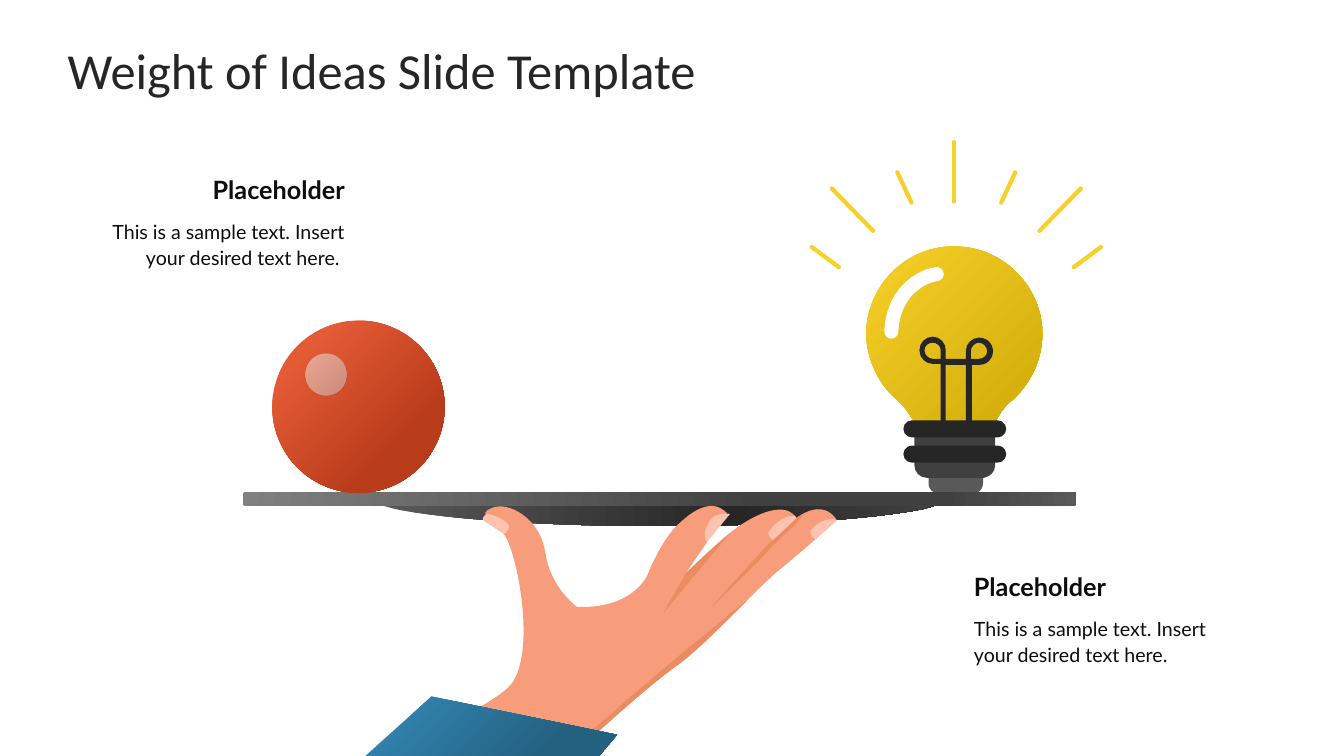
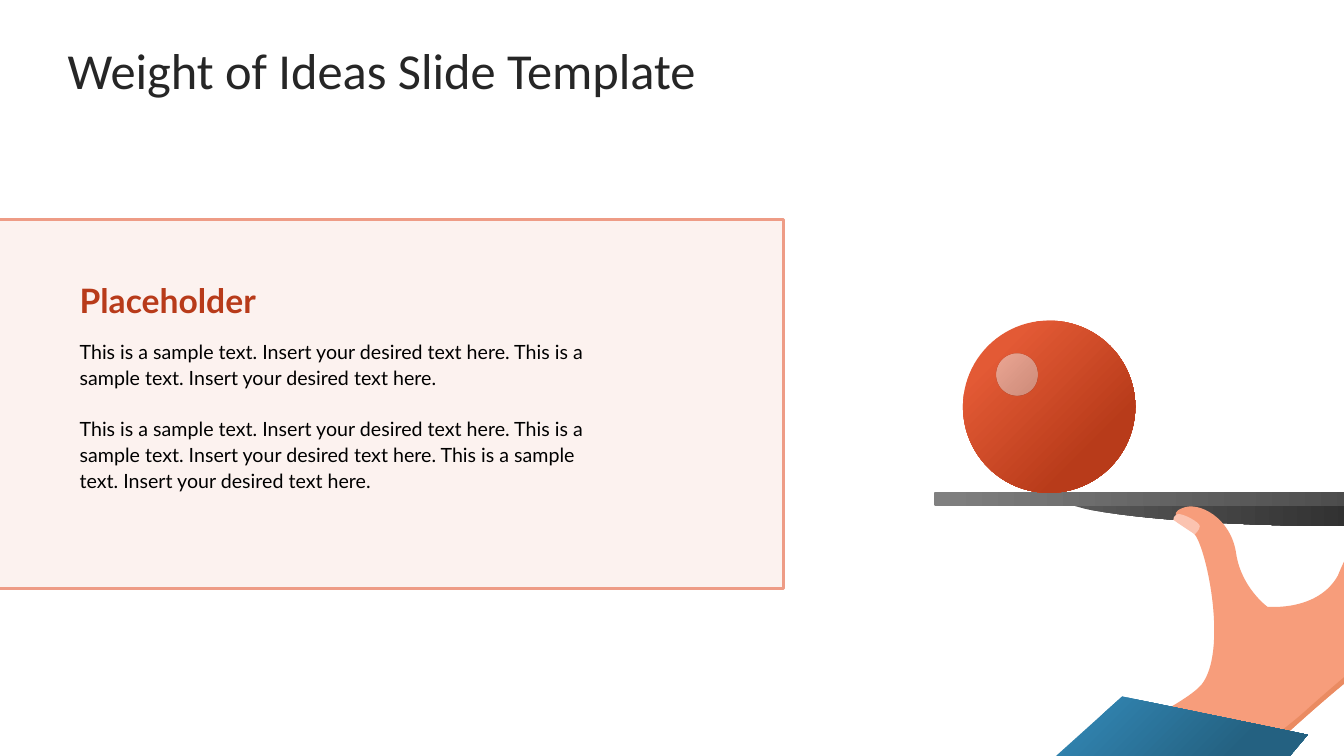
from lxml.etree import SubElement
from pptx import Presentation
from pptx.dml.color import RGBColor
from pptx.enum.shapes import MSO_CONNECTOR as Connector, MSO_SHAPE as Preset
from pptx.enum.text import MSO_ANCHOR as Anchor, MSO_AUTO_SIZE as AutoSize, PP_ALIGN as Align
from pptx.oxml.ns import qn
from pptx.util import Pt

PX = 9144
COLORS = {
    "ink": "262626", "caption": "0D0D0D", "body": "000000",
    "charcoal": "404040", "slate": "595959", "grey": "808080",
    "yellow": "F7D029", "gold": "D0AA08", "white": "FFFFFF",
    "coral": "E35A35", "rust": "B83B1A", "glint": "EDEDED", "glint_dark": "C9C9C9",
    "skin": "F79D7B", "nail": "FBC3B0", "skin_shade": "EA8B62",
    "sleeve": "3081AC", "sleeve_dark": "246181",
    "panel": "F9DED7", "panel_edge": "EE9C86",
}
TITLE = "Weight of Ideas Slide Template"
SAMPLE = "This is a sample text. Insert your desired text here."

TRAY_BELLY = ("M 140 14 L 686 14 L 675 17 C 625 27 526 34 413 34 "
              "C 300 34 202 27 151 17 Z")
GLASS = ("M 85 256 C 92 262 97 270 102 278 L 182 278 C 186 270 192 261 199 256 "
         "C 220 237 232 209 228 178 C 222 139 190 108 151 104 "
         "C 99 98 54 139 54 191 C 55 216 66 240 85 256 Z")
FILAMENT = ("M 166 194 C 159 194 153 200 153 207 L 153 215 L 133 215 L 133 206 "
            "C 133 199 127 193 120 193 C 113 193 107 199 107 206 L 107 207 "
            "C 107 214 113 220 120 220 L 128 220 L 128 279 L 133 279 L 133 221 "
            "L 153 221 L 153 279 L 159 279 L 159 221 L 166 221 "
            "C 174 221 180 215 180 208 L 180 207 C 180 200 174 194 166 194 Z "
            "M 128 215 L 120 215 C 116 215 112 211 112 207 L 112 206 "
            "C 112 202 116 199 120 199 C 124 199 128 202 128 206 Z "
            "M 174 208 C 174 212 170 215 166 215 L 158 215 L 158 207 "
            "C 158 203 162 199 166 199 C 170 199 174 203 174 207 Z")
SOCKET = ("M 182 292 L 102 292 L 102 321 C 102 327 107 333 114 333 "
          "L 171 333 C 177 332 182 327 182 321 Z")
REFLECTION = "M 79 188 C 81 145 113 132 124 131"
BULB_WIDTH = 287
CENTRE_RAY = (141, 0, 141, 59)
LEFT_RAYS = [(20, 46, 61, 88), (27, 124, 0, 104), (99, 60, 85, 30)]

PALM = ("M 348 0 C 353 0 358 2 363 7 L 322 67 C 322 67 356 33 375 20 "
        "C 394 7 421 -5 432 12 C 432 12 457 -9 472 14 C 472 14 445 39 413 65 "
        "C 382 92 344 136 314 158 C 284 179 232 227 211 246 L 210 248 L 21 248 "
        "L 23 247 C 84 219 142 190 151 174 C 174 137 153 39 141 27 "
        "C 129 15 114 8 130 2 C 146 -5 178 12 183 47 C 188 81 214 100 214 100 "
        "C 214 100 264 105 284 69 C 284 69 298 32 317 16 C 328 6 338 0 348 0 Z")
THUMB_NAIL = ("M 121 14 L 142 28 C 142 28 147 24 147 20 "
              "C 147 16 130 7 125 8 C 120 10 121 14 121 14 Z")
PALM_EDGE = ("M 382 94 L 382 95 L 341 135 C 331 144 322 152 314 158 "
             "C 284 179 232 227 211 246 L 210 248 L 194 248 L 198 245 "
             "C 222 228 241 213 252 203 C 303 157 382 95 382 94 Z")
FINGER_NAILS = [
    "M 366 8 C 366 8 358 6 351 10 C 345 14 337 27 343 36 Z",
    "M 409 34 C 409 34 404 30 404 27 C 404 24 418 8 430 10 "
    "C 430 10 432 11 432 12 C 432 14 409 34 409 34 Z",
    "M 446 24 C 446 24 445 31 451 33 L 472 14 C 472 14 461 8 446 24 Z",
]
FINGER_SHADES = [
    "M 300 106 L 366 27 C 350 41 328 61 323 66 Z",
    "M 346 102 C 346 102 391 59 405 43 C 420 27 436 16 438 8 "
    "C 434 10 432 12 432 12 C 432 12 417 27 405 37 C 394 48 346 102 346 102 Z",
]
CUFF = "M 70 189 L 254 227 L 233 252 L 0 252 Z"


def rgb(color):
    return RGBColor.from_string(COLORS[color])


def set_alpha(color_element, percent):
    SubElement(color_element, qn("a:alpha")).set("val", str(percent * 1000))


def fill_gradient(shape, stops, angle, alpha=None):
    shape.fill.gradient()
    gradient = shape._element.spPr.find(qn("a:gradFill"))
    for child in list(gradient):
        gradient.remove(child)
    stop_list = SubElement(gradient, qn("a:gsLst"))
    for position, color in stops:
        stop = SubElement(stop_list, qn("a:gs"))
        stop.set("pos", str(position * 1000))
        tint = SubElement(stop, qn("a:srgbClr"))
        tint.set("val", COLORS[color])
        if alpha is not None:
            set_alpha(tint, alpha)
    direction = SubElement(gradient, qn("a:lin"))
    direction.set("ang", str(angle * 60000))
    direction.set("scaled", "0")


def paint(shape, color=None):
    shape.shadow.inherit = False
    shape.line.fill.background()
    if color:
        shape.fill.solid()
        shape.fill.fore_color.rgb = rgb(color)
    return shape


def stroke(shape, color, width):
    shape.line.color.rgb = rgb(color)
    shape.line.width = Pt(width)


def round_caps(shape):
    shape._element.spPr.find(qn("a:ln")).set("cap", "rnd")


def add_preset(slide, preset, box, color=None, rounding=None):
    shape = slide.shapes.add_shape(preset, *(n * PX for n in box))
    if rounding is not None:
        shape.adjustments[0] = rounding
    return paint(shape, color)


def read_segments(contour):
    for piece in contour.replace("Z", "").replace("C", "|").replace("L", "|").split("|"):
        numbers = [int(n) * PX for n in piece.split()]
        yield list(zip(numbers[::2], numbers[1::2]))


def bend_segments(shape, point_counts):
    vertices = iter(list(shape._element.spPr.iter(qn("a:lnTo"))))
    for count in point_counts:
        segment = next(vertices)
        if count == 3:
            segment.tag = qn("a:cubicBezTo")
            for _ in range(2):
                vertex = next(vertices)
                segment.append(vertex[0])
                vertex.getparent().remove(vertex)


def add_outline(slide, origin, outline, color=None):
    builder = None
    point_counts = []
    for contour in outline.split("M")[1:]:
        (start,), *segments = read_segments(contour)
        if builder is None:
            builder = slide.shapes.build_freeform(*start)
        else:
            builder.move_to(*start)
        builder.add_line_segments(sum(segments, []), close="Z" in contour)
        point_counts.extend(len(segment) for segment in segments)
    shape = builder.convert_to_shape(*(n * PX for n in origin))
    bend_segments(shape, point_counts)
    return paint(shape, color)


def add_ball(slide, left, top):
    ball = add_preset(slide, Preset.OVAL, (left, top, 171, 171))
    fill_gradient(ball, [(19, "coral"), (75, "rust")], 45)
    glint = add_preset(slide, Preset.OVAL, (left + 33, top + 33, 41, 41))
    fill_gradient(glint, [(19, "glint"), (100, "glint_dark")], 45, alpha=50)


def add_tray(slide, left, top):
    bar = add_preset(slide, Preset.ROUNDED_RECTANGLE, (left, top, 826, 14))
    fill_gradient(bar, [(0, "grey"), (62, "charcoal"), (84, "charcoal"), (100, "slate")], 0)
    belly = add_outline(slide, (left, top), TRAY_BELLY)
    fill_gradient(belly, [(0, "slate"), (63, "ink"), (100, "charcoal")], 0)


def add_hand(slide, left, top, with_fingers):
    origin = (left, top)
    nails = [THUMB_NAIL] + (FINGER_NAILS if with_fingers else [])
    shades = (FINGER_SHADES if with_fingers else []) + [PALM_EDGE]
    add_outline(slide, origin, PALM, "skin")
    for nail in nails:
        add_outline(slide, origin, nail, "nail")
    for shade in shades:
        add_outline(slide, origin, shade, "skin_shade")
    cuff = add_outline(slide, origin, CUFF)
    fill_gradient(cuff, [(19, "sleeve"), (75, "sleeve_dark")], 45)


def add_balance(slide, left, top, with_fingers):
    add_tray(slide, left, top + 170)
    add_ball(slide, left + 29, top)
    add_hand(slide, left + 117, top + 184, with_fingers)


def add_bulb(slide, left, top):
    origin = (left, top)
    add_preset(slide, Preset.ROUNDED_RECTANGLE, (left + 116, top + 308, 54, 41), "slate", 0.26)
    glass = add_outline(slide, origin, GLASS)
    fill_gradient(glass, [(0, "yellow"), (100, "gold")], 45)
    add_outline(slide, origin, FILAMENT, "ink")
    add_outline(slide, origin, SOCKET, "charcoal")
    for ring_top in (276, 301):
        ring = (left + 91, top + ring_top, 102, 17)
        add_preset(slide, Preset.ROUNDED_RECTANGLE, ring, "ink", 0.5)
    reflection = add_outline(slide, origin, REFLECTION)
    reflection.fill.background()
    stroke(reflection, "white", 10)
    round_caps(reflection)
    right_rays = [(BULB_WIDTH - x1, y1, BULB_WIDTH - x2, y2) for x1, y1, x2, y2 in LEFT_RAYS]
    for x1, y1, x2, y2 in [CENTRE_RAY] + LEFT_RAYS + right_rays:
        ray = slide.shapes.add_connector(
            Connector.STRAIGHT, (left + x1) * PX, (top + y1) * PX,
            (left + x2) * PX, (top + y2) * PX)
        stroke(ray, "yellow", 3)
        round_caps(ray)
        SubElement(ray._element.spPr, qn("a:effectLst"))


def add_run(paragraph, text, font, size, color, bold=False):
    run = paragraph.add_run()
    run.text = text
    run.font.name = font
    run.font.size = Pt(size)
    run.font.bold = bold
    run.font.color.rgb = rgb(color)


def add_text(slide, box, paragraphs, size, color, align, anchor=Anchor.TOP, bold=False):
    frame = slide.shapes.add_textbox(*(n * PX for n in box)).text_frame
    frame.word_wrap = True
    frame.vertical_anchor = anchor
    frame.margin_left = frame.margin_right = frame.margin_top = frame.margin_bottom = 0
    for index, text in enumerate(paragraphs):
        paragraph = frame.add_paragraph() if index else frame.paragraphs[0]
        paragraph.alignment = align
        paragraph.line_spacing = 1.1
        if index:
            paragraph.space_before = Pt(18)
        add_run(paragraph, text, "Lato", size, color, bold)


def add_caption(slide, box, paragraphs, align=Align.LEFT, heading_size=18,
                heading_color="caption", body_color="caption", body_offset=46):
    left, top, width, height = box
    add_text(slide, (left, top + body_offset, width, height - body_offset),
             paragraphs, 14, body_color, align)
    add_text(slide, (left, top, width, 32), ["Placeholder"], heading_size,
             heading_color, align, Anchor.MIDDLE, bold=True)


def add_panel(slide, left, top):
    panel = add_preset(slide, Preset.RECTANGLE, (left, top, 779, 366), "panel")
    set_alpha(panel._element.spPr.find(qn("a:solidFill"))[0], 38)
    stroke(panel, "panel_edge", 2)
    add_caption(slide, (left + 81, top + 62, 524, 227),
                [" ".join([SAMPLE] * 2), " ".join([SAMPLE] * 3)],
                heading_size=24, heading_color="rust", body_color="body", body_offset=55)


def add_titled_slide(deck):
    slide = deck.slides.add_slide(deck.slide_layouts[5])
    title = slide.shapes.title
    title.left, title.top, title.width, title.height = (n * PX for n in (67, 30, 1200, 78))
    frame = title.text_frame
    frame.auto_size = AutoSize.NONE
    frame.word_wrap = True
    frame.vertical_anchor = Anchor.MIDDLE
    frame.margin_left = frame.margin_right = 0
    frame.margin_top = frame.margin_bottom = 7 * PX
    frame.paragraphs[0].alignment = Align.LEFT
    add_run(frame.paragraphs[0], TITLE, "Calibri", 36, "ink")
    return slide


def build_comparison_slide(deck):
    slide = add_titled_slide(deck)
    add_bulb(slide, 805, 141)
    add_balance(slide, 241, 318, with_fingers=True)
    add_caption(slide, (92, 170, 250, 110), [SAMPLE + " "], Align.RIGHT)
    add_caption(slide, (966, 564, 250, 110), [SAMPLE])


def build_detail_slide(deck):
    slide = add_titled_slide(deck)
    add_balance(slide, 926, 318, with_fingers=False)
    add_panel(slide, -2, 218)


def main():
    deck = Presentation()
    deck.slide_width = 1333 * PX
    deck.slide_height = 750 * PX
    build_comparison_slide(deck)
    build_detail_slide(deck)
    deck.save("out.pptx")


if __name__ == "__main__":
    main()
